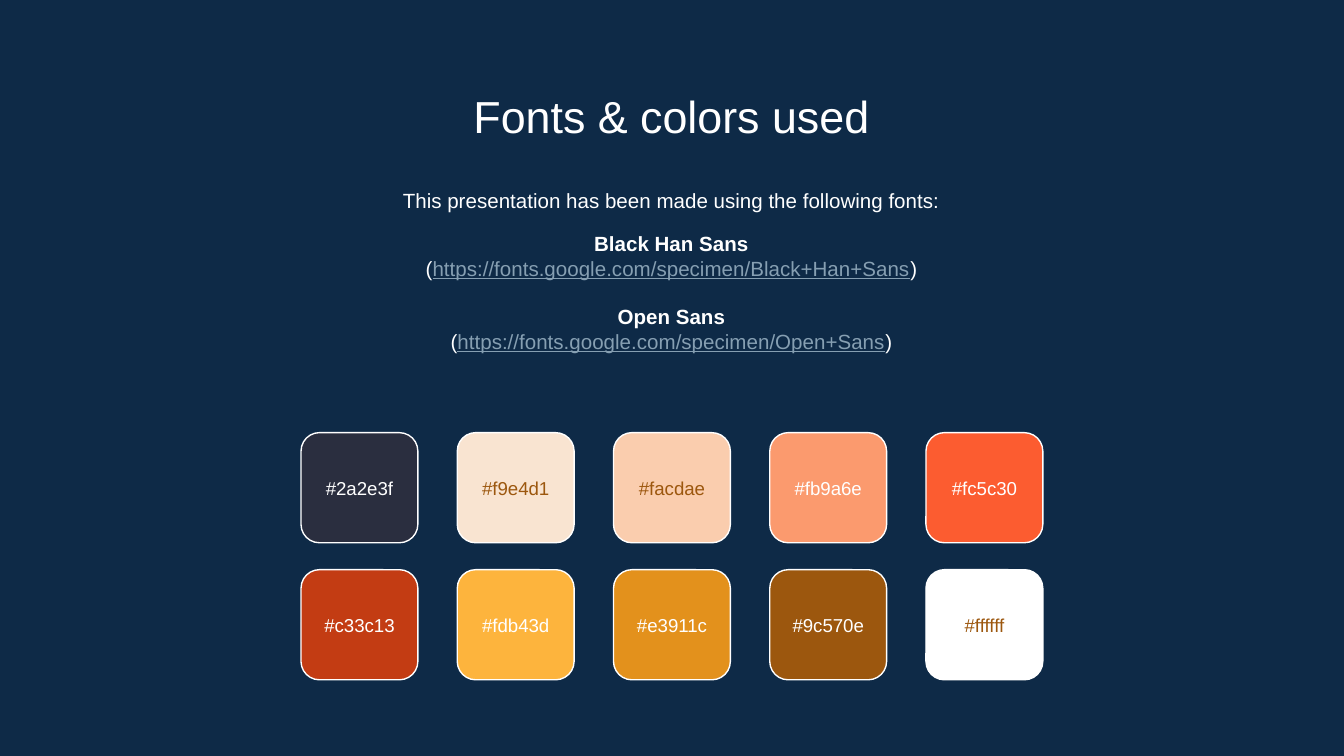
"""Build the slide that lists the fonts and colors of a presentation."""
from dataclasses import dataclass

from pptx import Presentation
from pptx.dml.color import RGBColor
from pptx.enum.shapes import MSO_SHAPE
from pptx.enum.text import MSO_ANCHOR, PP_ALIGN
from pptx.slide import Slide
from pptx.util import Pt

ROUNDED = MSO_SHAPE.ROUNDED_RECTANGLE
TOP, MIDDLE = MSO_ANCHOR.TOP, MSO_ANCHOR.MIDDLE
CENTER = PP_ALIGN.CENTER


@dataclass(frozen=True)
class Theme:
    background: str = "0E2A47"
    light: str = "FFFFFF"
    brown: str = "9C570E"
    link: str = "869FB2"
    font: str = "Arial"
    title_size: float = 24
    body_size: float = 11
    label_size: float = 10
    inset: float = 7.2
    outline: float = 0.75


@dataclass(frozen=True)
class Area:
    left: float
    top: float
    width: float
    height: float


@dataclass(frozen=True)
class Span:
    text: str
    color: str
    bold: bool = False
    underline: bool = False


@dataclass(frozen=True)
class Line:
    spans: tuple[Span, ...]
    space_before: float = 0


@dataclass(frozen=True)
class FontSource:
    name: str
    address: str
    space_before: float


@dataclass(frozen=True)
class Swatch:
    code: str
    label_color: str


THEME = Theme()
TITLE_AREA = Area(56.2, 40.3, 607, 38.2)
BODY_AREA = Area(56.2, 93.6, 607, 108)
FIRST_SWATCH = Area(161.3, 231.8, 62.6, 59)
COLUMNS, COLUMN_STEP, ROW_STEP = 5, 83.7, 73.4
LABEL_HEIGHT = 34.6
CORNER = 0.167

FONT_SOURCES = (
    FontSource("Black Han Sans", "https://fonts.google.com/specimen/Black+Han+Sans", 10),
    FontSource("Open Sans", "https://fonts.google.com/specimen/Open+Sans", 12.65),
)
SWATCHES = (
    Swatch("#2a2e3f", THEME.light),
    Swatch("#f9e4d1", THEME.brown),
    Swatch("#facdae", THEME.brown),
    Swatch("#fb9a6e", THEME.light),
    Swatch("#fc5c30", THEME.light),
    Swatch("#c33c13", THEME.light),
    Swatch("#fdb43d", THEME.light),
    Swatch("#e3911c", THEME.light),
    Swatch("#9c570e", THEME.light),
    Swatch("#ffffff", THEME.brown),
)


def rgb(code: str) -> RGBColor:
    return RGBColor.from_string(code.lstrip("#").upper())


def bounds(area: Area) -> tuple[Pt, Pt, Pt, Pt]:
    return Pt(area.left), Pt(area.top), Pt(area.width), Pt(area.height)


def add_text(page: Slide, area: Area, lines: list[Line], size: float, anchor: MSO_ANCHOR = TOP) -> None:
    frame = page.shapes.add_textbox(*bounds(area)).text_frame
    frame.word_wrap = True
    frame.vertical_anchor = anchor
    frame.margin_left = frame.margin_right = Pt(THEME.inset)
    frame.margin_top = frame.margin_bottom = Pt(THEME.inset)
    for index, line in enumerate(lines):
        para = frame.add_paragraph() if index else frame.paragraphs[0]
        para.alignment = CENTER
        para.space_before = Pt(line.space_before)
        for span in line.spans:
            run = para.add_run()
            run.text = span.text
            run.font.name = THEME.font
            run.font.size = Pt(size)
            run.font.bold = span.bold
            run.font.underline = span.underline
            run.font.color.rgb = rgb(span.color)


def source_lines(source: FontSource) -> list[Line]:
    name = Span(source.name, THEME.light, bold=True)
    address = Span(source.address, THEME.link, underline=True)
    return [
        Line((name,), source.space_before),
        Line((Span("(", THEME.light), address, Span(")", THEME.light))),
    ]


def add_swatch(page: Slide, swatch: Swatch, area: Area) -> None:
    tile = page.shapes.add_shape(ROUNDED, *bounds(area))
    tile.adjustments[0] = CORNER
    tile.shadow.inherit = False
    tile.fill.solid()
    tile.fill.fore_color.rgb = rgb(swatch.code)
    tile.line.color.rgb = rgb(THEME.light)
    tile.line.width = Pt(THEME.outline)
    label_top = area.top + (area.height - LABEL_HEIGHT) / 2
    label_area = Area(area.left, label_top, area.width, LABEL_HEIGHT)
    label = Line((Span(swatch.code, swatch.label_color),))
    add_text(page, label_area, [label], THEME.label_size, MIDDLE)


def main() -> None:
    deck = Presentation()
    deck.slide_width, deck.slide_height = Pt(720), Pt(405)
    page = deck.slides.add_slide(deck.slide_layouts[6])
    page.background.fill.solid()
    page.background.fill.fore_color.rgb = rgb(THEME.background)

    title = Line((Span("Fonts & colors used", THEME.light),))
    add_text(page, TITLE_AREA, [title], THEME.title_size)

    intro = Span("This presentation has been made using the following fonts:", THEME.light)
    body = [Line((intro,))]
    for source in FONT_SOURCES:
        body.extend(source_lines(source))
    add_text(page, BODY_AREA, body, THEME.body_size)

    for index, swatch in enumerate(SWATCHES):
        row, column = divmod(index, COLUMNS)
        left = FIRST_SWATCH.left + column * COLUMN_STEP
        top = FIRST_SWATCH.top + row * ROW_STEP
        add_swatch(page, swatch, Area(left, top, FIRST_SWATCH.width, FIRST_SWATCH.height))

    deck.save("out.pptx")


if __name__ == "__main__":
    main()
